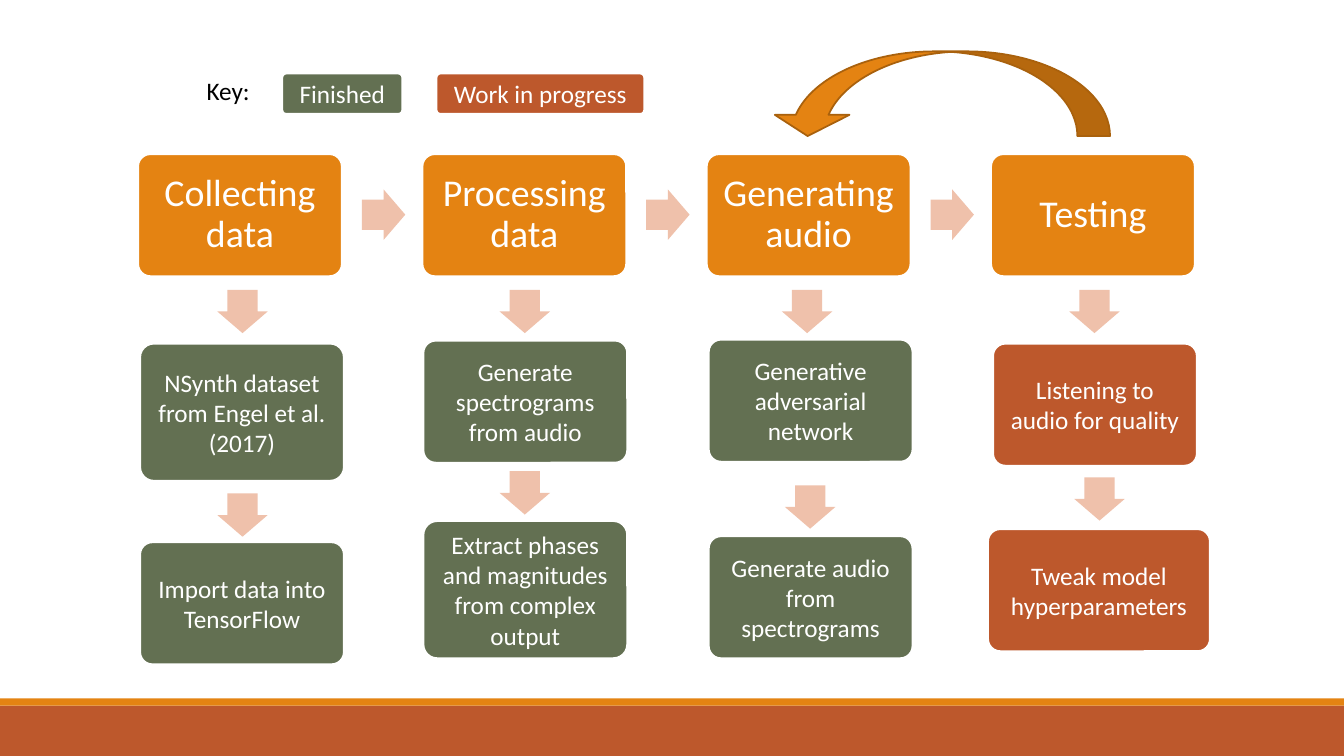
from dataclasses import dataclass

from pptx import Presentation
from pptx.dml.color import RGBColor
from pptx.enum.shapes import MSO_SHAPE
from pptx.enum.text import MSO_ANCHOR, PP_ALIGN
from pptx.shapes.autoshape import Shape
from pptx.slide import Slide
from pptx.util import Inches, Pt

RECTANGLE = MSO_SHAPE.RECTANGLE
ROUNDED = MSO_SHAPE.ROUNDED_RECTANGLE
RIGHT_ARROW = MSO_SHAPE.RIGHT_ARROW
CURVED_ARROW = MSO_SHAPE.CURVED_DOWN_ARROW
MIDDLE = MSO_ANCHOR.MIDDLE
CENTER = PP_ALIGN.CENTER

FONT = "Calibri"
ORANGE, RUST, GREEN = "E48312", "BD582C", "637052"
PEACH, BROWN, WHITE, BLACK = "EFC1AB", "A9610D", "FFFFFF", "000000"
FINISHED, IN_PROGRESS = GREEN, RUST

STAGE_LEFT, STAGE_PITCH = 1.37, 2.82
BOX_WIDTH, BOX_HEIGHT = 2.02, 1.21
ARROW_WIDTH, ARROW_HEIGHT = 0.43, 0.5


@dataclass
class Step:
    text: str
    left: float
    top: float
    arrow_left: float
    arrow_top: float
    width: float = BOX_WIDTH
    height: float = BOX_HEIGHT


@dataclass
class Stage:
    title: str
    status: str
    steps: list[Step]


STAGES = [
    Stage("Collecting data", FINISHED, [
        Step("NSynth dataset from Engel et al. (2017)", 1.39, 3.41, 2.19, 2.84, height=1.36),
        Step("Import data into TensorFlow", 1.39, 5.38, 2.19, 4.86),
    ]),
    Stage("Processing data", FINISHED, [
        Step("Generate spectrograms from audio", 4.2, 3.38, 4.99, 2.84),
        Step("Extract phases and magnitudes from complex output", 4.2, 5.17, 4.99, 4.64,
             height=1.36),
    ]),
    Stage("Generating audio", FINISHED, [
        Step("Generative adversarial network", 7.03, 3.37, 7.79, 2.84),
        Step("Generate audio from spectrograms", 7.03, 5.32, 7.82, 4.78),
    ]),
    Stage("Testing", IN_PROGRESS, [
        Step("Listening to audio for quality", 9.85, 3.41, 10.64, 2.84),
        Step("Tweak model hyperparameters", 9.8, 5.25, 10.69, 4.7, width=2.2),
    ]),
]


def color(value: str) -> RGBColor:
    return RGBColor.from_string(value)


def add_filled(slide: Slide, kind: MSO_SHAPE, left: float, top: float, width: float,
               height: float, fill: str, line: str | None = None) -> Shape:
    shape = slide.shapes.add_shape(kind, Inches(left), Inches(top),
                                   Inches(width), Inches(height))
    shape.shadow.inherit = False
    shape.fill.solid()
    shape.fill.fore_color.rgb = color(fill)
    if line:
        shape.line.color.rgb = color(line)
        shape.line.width = Pt(1.25)
    else:
        shape.line.fill.background()
    return shape


def set_text(shape: Shape, text: str, size: float, text_color: str):
    frame = shape.text_frame
    frame.word_wrap = True
    paragraph = frame.paragraphs[0]
    paragraph.text = text
    paragraph.font.name = FONT
    paragraph.font.size = Pt(size)
    paragraph.font.color.rgb = color(text_color)
    return paragraph


def add_box(slide: Slide, text: str, left: float, top: float, width: float,
            height: float, fill: str, size: float = 18) -> Shape:
    box = add_filled(slide, ROUNDED, left, top, width, height, fill, WHITE)
    box.adjustments[0] = 0.1
    box.text_frame.vertical_anchor = MIDDLE
    set_text(box, text, size, WHITE).alignment = CENTER
    return box


def add_stage(slide: Slide, title: str, left: float) -> None:
    box = add_box(slide, title, left, 1.53, BOX_WIDTH, BOX_HEIGHT, ORANGE, 27)
    frame = box.text_frame
    frame.margin_left = frame.margin_right = Inches(0.11)
    frame.margin_top = frame.margin_bottom = Inches(0.11)
    frame.paragraphs[0].line_spacing = 0.9


def add_arrow(slide: Slide, left: float, top: float, rotation: float = 0) -> None:
    arrow = add_filled(slide, RIGHT_ARROW, left, top, ARROW_WIDTH, ARROW_HEIGHT, PEACH)
    arrow.adjustments[0] = 0.6
    arrow.adjustments[1] = 0.5
    arrow.rotation = rotation


def main() -> None:
    presentation = Presentation()
    presentation.slide_width = Inches(13.33)
    presentation.slide_height = Inches(7.5)
    slide = presentation.slides.add_slide(presentation.slide_layouts[6])

    # Footer bands
    add_filled(slide, RECTANGLE, 0, 7, 13.33, 0.5, RUST)
    add_filled(slide, RECTANGLE, 0, 6.93, 13.33, 0.07, ORANGE)

    # Stages with their steps
    for index, stage in enumerate(STAGES):
        left = STAGE_LEFT + index * STAGE_PITCH
        add_stage(slide, stage.title, left)
        if index < len(STAGES) - 1:
            add_arrow(slide, left + 2.22, 1.88)
        for step in stage.steps:
            add_arrow(slide, step.arrow_left, step.arrow_top, 90)
            add_box(slide, step.text, step.left, step.top, step.width, step.height,
                    stage.status)

    # Loop from testing back to generating
    loop = add_filled(slide, CURVED_ARROW, 7.64, 0.51, 3.37, 0.84, ORANGE, BROWN)
    for index, value in enumerate((0.386, 0.882, 0.25)):
        loop.adjustments[index] = value
    loop.element.spPr.get_or_add_xfrm().set("flipH", "1")

    # Key
    add_box(slide, "Finished", 2.8, 0.73, 1.19, 0.4, FINISHED)
    add_box(slide, "Work in progress", 4.33, 0.73, 2.06, 0.4, IN_PROGRESS)
    key = slide.shapes.add_textbox(Inches(1.95), Inches(0.7), Inches(1.02), Inches(0.4))
    set_text(key, "Key:", 18, BLACK)

    presentation.save("out.pptx")


if __name__ == "__main__":
    main()
